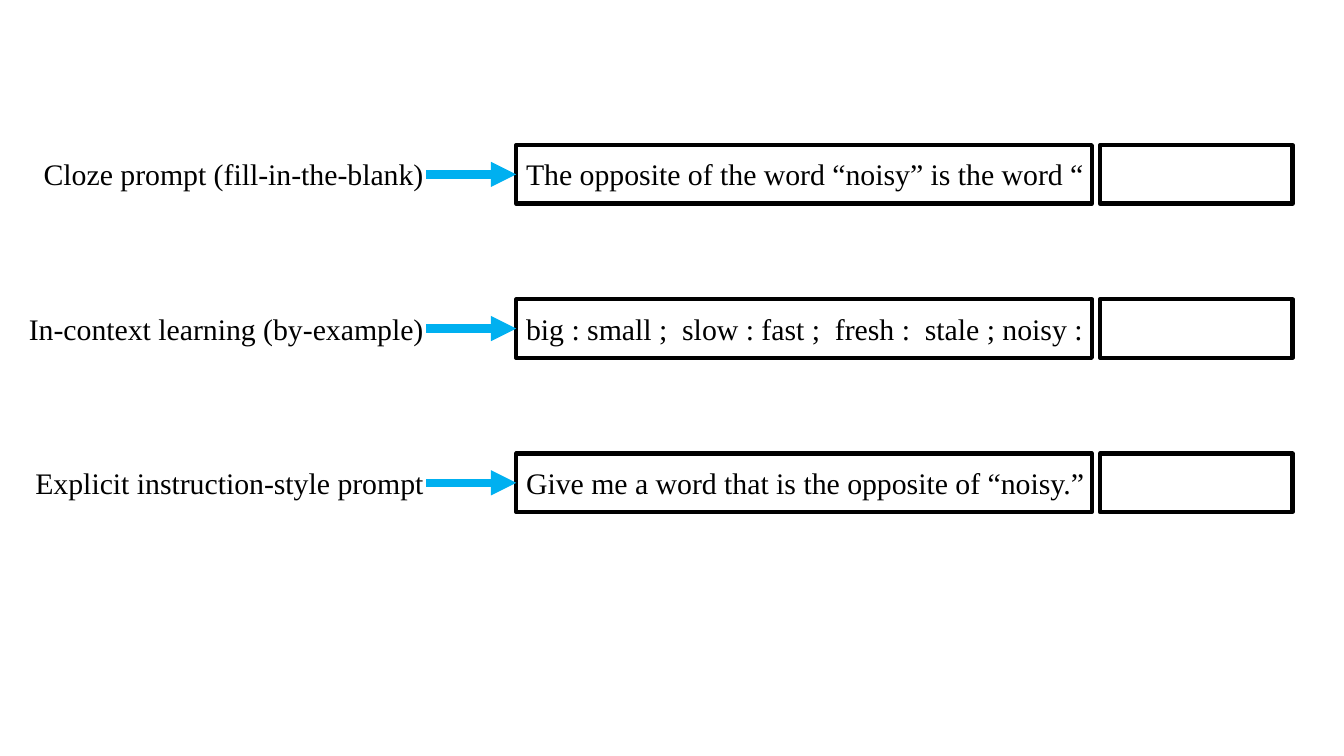
"""Builds a slide that compares three prompt styles, one per row."""
from lxml import etree
from pptx import Presentation
from pptx import util as u
from pptx.dml.color import RGBColor
from pptx.enum import shapes, text
from pptx.oxml.ns import qn

COLOURS = {"ink": "000000", "arrow": "00B0F0"}
FONT = "Times New Roman"

PROMPTS = [
    ("Cloze prompt (fill-in-the-blank)",
     "The opposite of the word “noisy” is the word “"),
    ("In-context learning (by-example)",
     "big : small ;  slow : fast ;  fresh :  stale ; noisy :"),
    ("Explicit instruction-style prompt",
     "Give me a word that is the opposite of “noisy.”"),
]

FIRST_ROW_TOP, ROW_PITCH = 1.44, 1.53
BOX_HEIGHT = 0.58
TEXT_HEIGHT = 0.46
LABEL_LEFT, LABEL_WIDTH = 0.13, 4.17
ARROW_LEFT = 4.23
PROMPT_LEFT, PROMPT_WIDTH, PROMPT_TEXT_WIDTH = 5.12, 5.71, 5.8
ANSWER_LEFT, ANSWER_WIDTH = 10.91, 1.91


def colour(name):
    """Return the named colour from the palette."""
    return RGBColor.from_string(COLOURS[name])


def add_text(slide, words, left, top, width, height=TEXT_HEIGHT, *,
             size=21.3, align=text.PP_ALIGN.LEFT, ink="ink"):
    """Add a one-line text box."""
    shape = slide.shapes.add_textbox(*map(u.Inches, (left, top, width, height)))
    frame = shape.text_frame
    frame.word_wrap = True
    paragraph = frame.paragraphs[0]
    paragraph.alignment = align
    run = paragraph.add_run()
    run.text = words
    run.font.name = FONT
    run.font.size = u.Pt(size)
    run.font.color.rgb = colour(ink)


def add_box(slide, left, top, width, height=BOX_HEIGHT):
    """Add an unfilled rectangle with a heavy outline."""
    shape = slide.shapes.add_shape(
        shapes.MSO_SHAPE.RECTANGLE, *map(u.Inches, (left, top, width, height)))
    shape.shadow.inherit = False
    shape.fill.background()
    shape.line.color.rgb = colour("ink")
    shape.line.width = u.Pt(3)


def add_arrow(slide, left, right, y):
    """Add a thick horizontal arrow pointing right."""
    connector = slide.shapes.add_connector(
        shapes.MSO_CONNECTOR.STRAIGHT, *map(u.Inches, (left, y, right, y)))
    connector.line.color.rgb = colour("arrow")
    connector.line.width = u.Pt(6)
    etree.SubElement(connector.line._get_or_add_ln(), qn("a:tailEnd"), type="triangle")
    etree.SubElement(connector._element.spPr, qn("a:effectLst"))


def add_prompt_row(slide, top, label, prompt):
    """Add a label, an arrow, the prompt in its box and an empty answer box."""
    middle = top + BOX_HEIGHT / 2
    text_top = middle - TEXT_HEIGHT / 2
    add_text(slide, prompt, PROMPT_LEFT, text_top, PROMPT_TEXT_WIDTH)
    add_box(slide, PROMPT_LEFT, top, PROMPT_WIDTH)
    add_text(slide, label, LABEL_LEFT, text_top, LABEL_WIDTH,
             align=text.PP_ALIGN.RIGHT)
    add_arrow(slide, ARROW_LEFT, PROMPT_LEFT, middle)
    add_box(slide, ANSWER_LEFT, top, ANSWER_WIDTH)


def main():
    """Build and save the slide."""
    presentation = Presentation()
    presentation.slide_width = u.Inches(13.33)
    presentation.slide_height = u.Inches(7.5)
    slide = presentation.slides.add_slide(presentation.slide_layouts[6])
    for row, (label, prompt) in enumerate(PROMPTS):
        add_prompt_row(slide, FIRST_ROW_TOP + row * ROW_PITCH, label, prompt)
    presentation.save("out.pptx")


main()
